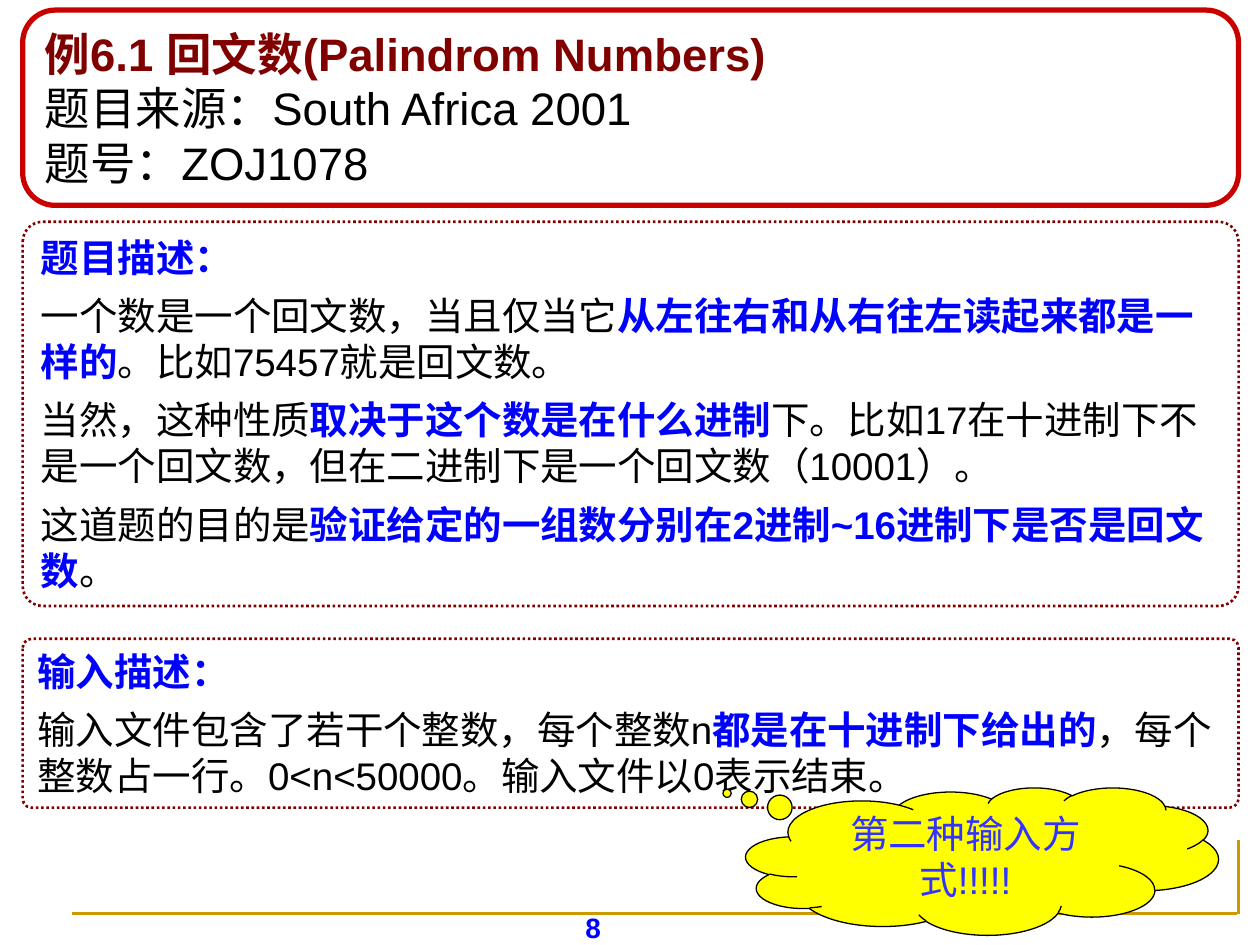
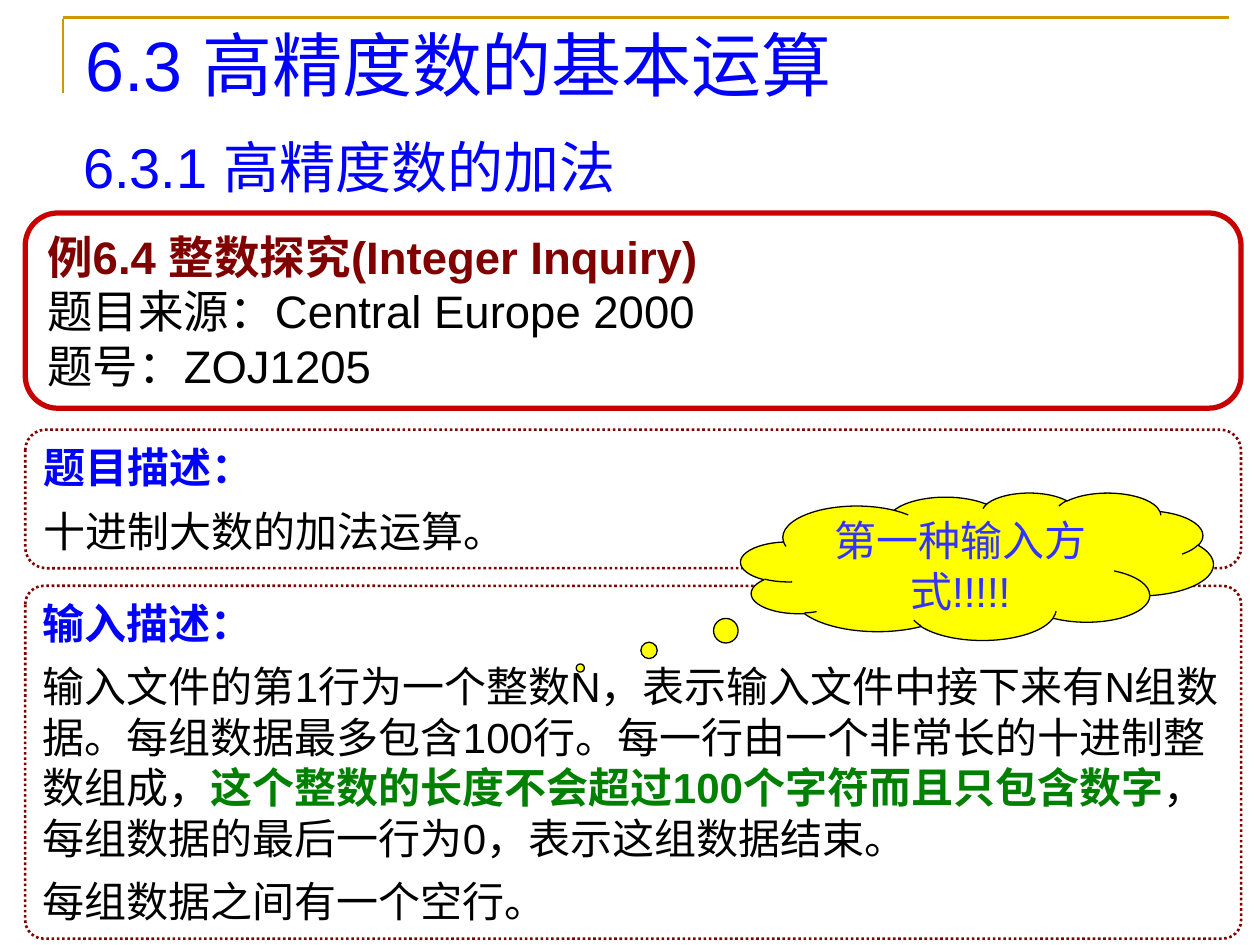
from lxml import etree
from pptx import Presentation
from pptx import util as u
from pptx.dml import color
from pptx.enum import dml, shapes, text
from pptx.oxml import ns

Pt = u.Pt
BLUE, GREEN, MAROON, BLACK = "0000FF", "008000", "800000", "000000"
RED, GOLD, YELLOW, INDIGO, WHITE = "C80000", "CC9900", "FFFF00", "3333FF", "FFFFFF"
FONT = "Arial"
BOX_WIDTH = 694.8
HEADER_HEIGHT = 111.6
CLOUD_SIZE = (270, 84.24)


def rgb(value):
    return color.RGBColor.from_string(value)


class Builder:
    def __init__(self, deck):
        self.deck = deck
        self.page = None

    def new_page(self, layout):
        self.page = self.deck.slides.add_slide(self.deck.slide_layouts[layout])

    def place(self, box, left, top, width, height):
        box.left, box.top, box.width, box.height = map(Pt, (left, top, width, height))

    def fill_text(self, box, paragraphs, size, gap=0, align=text.PP_ALIGN.LEFT,
                  anchor=text.MSO_ANCHOR.TOP, margins=(7.2, 3.6)):
        frame = box.text_frame
        frame.word_wrap = True
        frame.auto_size = text.MSO_AUTO_SIZE.NONE
        frame.vertical_anchor = anchor
        frame.margin_left = frame.margin_right = Pt(margins[0])
        frame.margin_top = frame.margin_bottom = Pt(margins[1])
        for index, spans in enumerate(paragraphs):
            para = frame.add_paragraph() if index else frame.paragraphs[0]
            para.alignment = align
            para.space_before = Pt(0)
            para.space_after = Pt(gap)
            for words, hue, bold in spans:
                span = para.add_run()
                span.text = words
                span.font.name = FONT
                span.font.size = Pt(size)
                span.font.bold = bold
                span.font.color.rgb = rgb(hue)

    def rule(self, x1, y1, x2, y2):
        line = self.page.shapes.add_connector(
            shapes.MSO_CONNECTOR.STRAIGHT, Pt(x1), Pt(y1), Pt(x2), Pt(y2))
        line.line.color.rgb = rgb(GOLD)
        line.line.width = Pt(1.5)
        etree.SubElement(line._element.spPr, ns.qn("a:effectLst"))

    def shape(self, kind, frame, fill, edge, weight, adjustments):
        box = self.page.shapes.add_shape(kind, *map(Pt, frame))
        box.shadow.inherit = False
        box.fill.solid()
        box.fill.fore_color.rgb = rgb(fill)
        box.line.color.rgb = rgb(edge)
        box.line.width = Pt(weight)
        for index, value in enumerate(adjustments):
            box.adjustments[index] = value
        return box

    def header(self, left, top, name, source, number):
        box = self.shape(shapes.MSO_SHAPE.ROUNDED_RECTANGLE,
                         (left, top, BOX_WIDTH, HEADER_HEIGHT), WHITE, RED, 3, [0.167])
        self.fill_text(box, [[(name, MAROON, True)],
                             [(f"题目来源：{source}", BLACK, False)],
                             [(f"题号：{number}", BLACK, False)]], 26)

    def panel(self, left, top, height, size, heading, paragraphs, corner=0.052):
        box = self.shape(shapes.MSO_SHAPE.ROUNDED_RECTANGLE,
                         (left, top, BOX_WIDTH, height), WHITE, MAROON, 1.5, [corner])
        box.line.dash_style = dml.MSO_LINE.ROUND_DOT
        self.fill_text(box, [[(heading, BLUE, True)]] + paragraphs, size, gap=size * 0.3125)

    def cloud(self, left, top, tail, size, words):
        box = self.shape(shapes.MSO_SHAPE.CLOUD_CALLOUT, (left, top, *CLOUD_SIZE),
                         YELLOW, BLACK, 0.75, tail)
        self.fill_text(box, [[(words, INDIGO, False)]], size,
                       align=text.PP_ALIGN.CENTER, margins=(0, 0))

    def page_number(self, number):
        box = self.page.shapes.add_textbox(Pt(264), Pt(517), Pt(150), Pt(18))
        self.fill_text(box, [[(number, BLUE, True)]], 16, align=text.PP_ALIGN.CENTER)

    def title(self, words):
        box = self.page.shapes.title
        self.place(box, 41.76, 12.24, 653.76, 48.24)
        self.fill_text(box, [[(words, BLUE, False)]], 40, anchor=text.MSO_ANCHOR.MIDDLE)

    def subtitle(self, words):
        box = self.page.placeholders[1]
        self.place(box, 40.32, 72, 655.92, 437.76)
        self.fill_text(box, [[(words, BLUE, False)]], 32)
        properties = box.text_frame.paragraphs[0]._p.get_or_add_pPr()
        properties.set("marL", "0")
        properties.set("indent", "0")
        etree.SubElement(properties, ns.qn("a:buNone"))


def plain(words):
    return words, BLACK, False


def strong(words, hue=BLUE):
    return words, hue, True


def palindrome_page(builder):
    left = 12.96
    builder.new_page(6)
    builder.rule(707.76, 480.24, 707.76, 522)
    builder.rule(41.04, 522, 707.04, 522)
    builder.page_number("8")
    builder.header(left, 5.76, "例6.1 回文数(Palindrom Numbers)", "South Africa 2001", "ZOJ1078")
    builder.panel(left, 126.72, 219.6, 22, "题目描述：", [
        [plain("一个数是一个回文数，当且仅当它"),
         strong("从左往右和从右往左读起来都是一样的"),
         plain("。比如75457就是回文数。")],
        [plain("当然，这种性质"),
         strong("取决于这个数是在什么进制"),
         plain("下。比如17在十进制下不是一个回文数，但在二进制下是一个回文数（10001）。")],
        [plain("这道题的目的是"),
         strong("验证给定的一组数分别在2进制~16进制下是否是回文数"),
         plain("。")]])
    builder.panel(left, 365.04, 96.48, 22, "输入描述：", [
        [plain("输入文件包含了若干个整数，每个整数n"),
         strong("都是在十进制下给出的"),
         plain("，每个整数占一行。0<n<50000。输入文件以0表示结束。")]])
    builder.cloud(426.24, 450, (-0.54, -0.46), 22, "第二种输入方式!!!!!")


def addition_page(builder):
    left = 14.4
    builder.new_page(1)
    builder.rule(36, 10.8, 36, 53.28)
    builder.rule(36, 10.08, 702, 10.08)
    builder.title("6.3 高精度数的基本运算")
    builder.subtitle("6.3.1 高精度数的加法")
    builder.header(left, 121.68, "例6.4 整数探究(Integer Inquiry)", "Central Europe 2000", "ZOJ1205")
    builder.panel(left, 245.52, 79.2, 24, "题目描述：",
                  [[plain("十进制大数的加法运算。")]], corner=0.15)
    builder.panel(left, 334.8, 201.6, 24, "输入描述：", [
        [plain("输入文件的第1行为一个整数N，表示输入文件中接下来有N组数据。"
               "每组数据最多包含100行。每一行由一个非常长的十进制整数组成，"),
         strong("这个整数的长度不会超过100个字符而且只包含数字", GREEN),
         plain("，每组数据的最后一行为0，表示这组数据结束。")],
        [plain("每组数据之间有一个空行。")]])
    builder.cloud(423.36, 281.52, (-0.84, 0.69), 24, "第一种输入方式!!!!!")


def main():
    deck = Presentation()
    deck.slide_width, deck.slide_height = Pt(720), Pt(540)
    builder = Builder(deck)
    palindrome_page(builder)
    addition_page(builder)
    deck.save("out.pptx")


if __name__ == "__main__":
    main()
